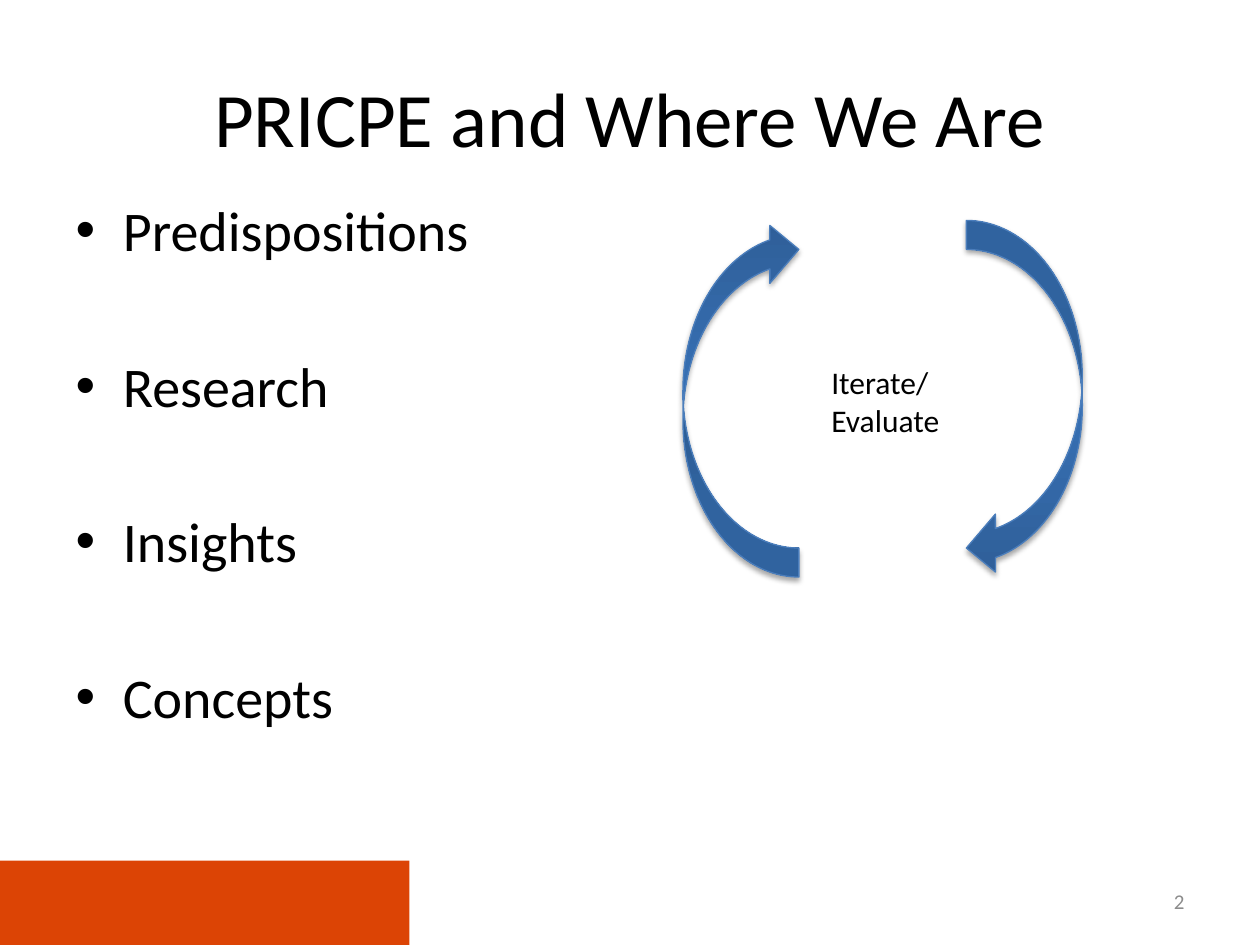
"""Build the PRICPE overview slide."""
from dataclasses import dataclass

from lxml.etree import fromstring
from pptx import Presentation
from pptx.dml.color import RGBColor
from pptx.enum.shapes import MSO_SHAPE
from pptx.enum.text import MSO_ANCHOR, PP_ALIGN
from pptx.oxml.ns import qn
from pptx.util import Inches, Pt

NS = 'xmlns:a="http://schemas.openxmlformats.org/drawingml/2006/main"'


@dataclass(frozen=True)
class Theme:
    """Colours, type sizes and spacing of the slide."""
    font: str = "Calibri"
    ink: str = "000000"
    grey: str = "8C8C8C"
    band: str = "DC4405"
    edge: str = "4B7EBC"
    blend: tuple = ((0, "2F5F99"), (80, "3D7CC7"), (100, "3A7CCB"))
    title: int = 44
    body: int = 32
    label: int = 18
    small: int = 12
    gap: float = 50.6


THEME = Theme()


def place(shape, box):
    """Move a shape into a box given in inches."""
    shape.left, shape.top, shape.width, shape.height = map(Inches, box)


def style(frame, size, color=THEME.ink, align=None):
    """Format every run of a text frame."""
    for para in frame.paragraphs:
        para.alignment = align
        for run in para.runs:
            run.font.name = THEME.font
            run.font.size = Pt(size)
            run.font.color.rgb = RGBColor.from_string(color)


def add_band(slide, box):
    """Draw the plain colour band in the corner."""
    band = slide.shapes.add_shape(MSO_SHAPE.RECTANGLE, *map(Inches, box))
    band.shadow.inherit = False
    band.fill.solid()
    band.fill.fore_color.rgb = RGBColor.from_string(THEME.band)
    band.line.fill.background()


def add_title(slide, box, text):
    """Fill the title placeholder."""
    title = slide.shapes.title
    place(title, box)
    title.text_frame.text = text
    title.text_frame.vertical_anchor = MSO_ANCHOR.MIDDLE
    style(title.text_frame, THEME.title, align=PP_ALIGN.CENTER)


def add_list(slide, box, items):
    """Fill the body placeholder with widely spaced bullets."""
    body = slide.placeholders[1]
    place(body, box)
    frame = body.text_frame
    frame.text = "\n".join(items)
    for para in frame.paragraphs[1:]:
        para.space_before = Pt(THEME.gap)
    style(frame, THEME.body)


def add_label(slide, box, text, size, color=THEME.ink, align=None,
              anchor=MSO_ANCHOR.TOP):
    """Add a wrapped text box."""
    frame = slide.shapes.add_textbox(*map(Inches, box)).text_frame
    frame.word_wrap = True
    frame.vertical_anchor = anchor
    frame.text = text
    style(frame, size, color, align)


def add_arrow(slide, box, flip):
    """Add a curved arrow, mirrored by the given flip attribute."""
    arrow = slide.shapes.add_shape(MSO_SHAPE.CURVED_RIGHT_ARROW,
                                   *map(Inches, box))
    arrow.line.color.rgb = RGBColor.from_string(THEME.edge)
    arrow.line.width = Pt(0.75)
    props = arrow.element.spPr
    props.find(qn("a:xfrm")).set(flip, "1")
    stops = "".join(f'<a:gs pos="{pos * 1000}"><a:srgbClr val="{color}"/></a:gs>'
                    for pos, color in THEME.blend)
    props.find(qn("a:prstGeom")).addnext(fromstring(
        f'<a:gradFill {NS} rotWithShape="1"><a:gsLst>{stops}</a:gsLst>'
        '<a:lin ang="16200000" scaled="0"/></a:gradFill>'))
    props.find(qn("a:ln")).addnext(fromstring(
        f'<a:effectLst {NS}><a:outerShdw blurRad="{Pt(3.1)}" dist="{Pt(1.8)}" '
        'dir="5400000" rotWithShape="0"><a:srgbClr val="000000">'
        '<a:alpha val="35000"/></a:srgbClr></a:outerShdw></a:effectLst>'))


def add_cycle(slide, box, text):
    """Draw two facing arrows at the box sides with a label between."""
    left, top, width, height = box
    thick = 0.92
    add_label(slide, (left + 1.08, top + 1.08, 1.17, 0.71), text, THEME.label)
    add_arrow(slide, (left + width - thick, top, thick, height), "flipH")
    add_arrow(slide, (left, top, thick, height), "flipV")


def main():
    """Build and save the slide."""
    prs = Presentation()
    prs.slide_width, prs.slide_height = Inches(10), Inches(7.5)
    slide = prs.slides.add_slide(prs.slide_layouts[1])
    add_band(slide, (0, 6.83, 3.25, 0.67))
    add_title(slide, (0.5, 0.3, 9, 1.25), "PRICPE and Where We Are")
    add_list(slide, (0.5, 1.5, 9, 5.2),
             ("Predispositions", "Research", "Insights", "Concepts"))
    add_label(slide, (7.17, 6.95, 2.33, 0.4), "2", THEME.small, THEME.grey,
              PP_ALIGN.RIGHT, MSO_ANCHOR.MIDDLE)
    add_cycle(slide, (5.42, 1.75, 3.17, 2.83), "Iterate/Evaluate")
    prs.save("out.pptx")


if __name__ == "__main__":
    main()
